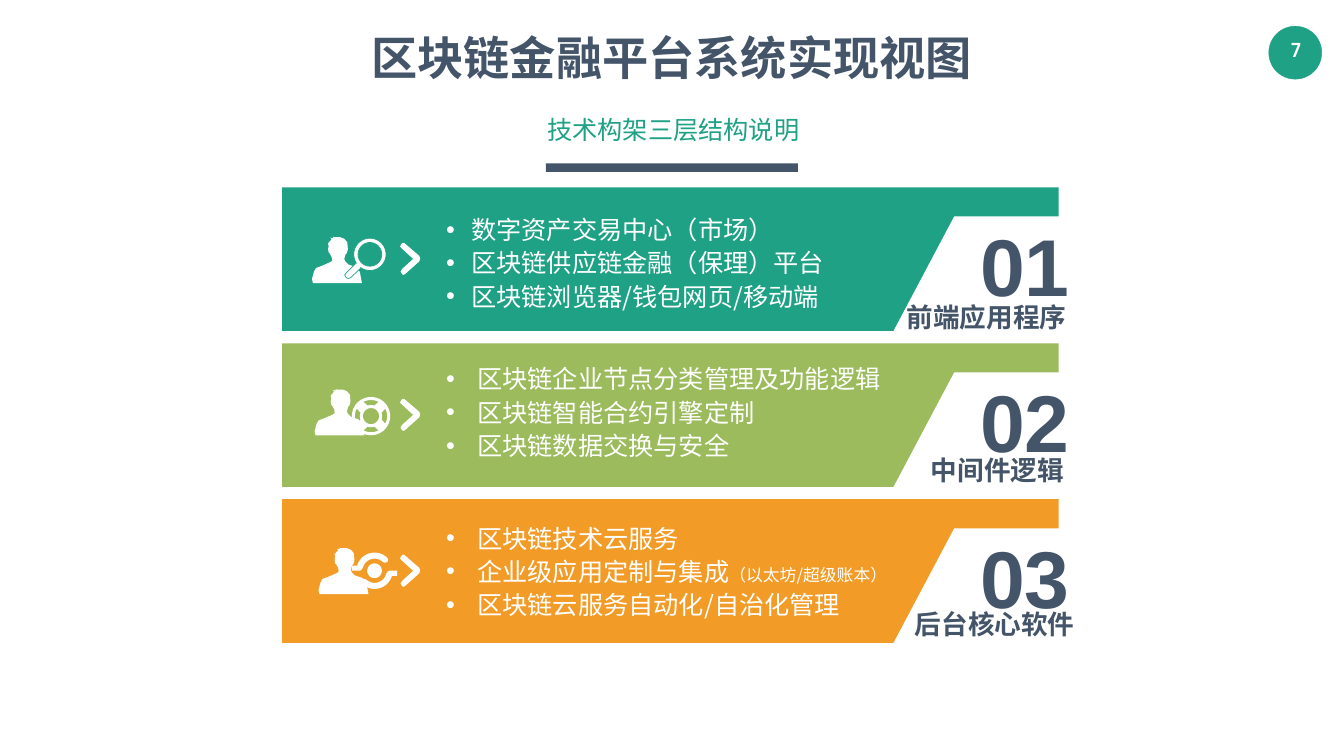
import math
from lxml import etree
from pptx import Presentation
from pptx.dml import color as dml
from pptx.enum import shapes, text
from pptx.oxml import ns
from pptx import util as u

SANS = "Noto Sans CJK SC"
NAVY, GREEN, WHITE = "445469", "1EA185", "FFFFFF"
UNIT = 2.54 / 100
LEFT, CENTER, RIGHT = text.PP_ALIGN.LEFT, text.PP_ALIGN.CENTER, text.PP_ALIGN.RIGHT

BODY = [
    (2, 92), (0, 84), (4, 69), (8, 62), (19, 58), (35, 51), (40, 48), (39, 40),
    (35, 33), (33, 31), (32, 25), (33, 19), (32, 13), (39, 5), (36, 2), (42, 3),
    (42, 0), (45, 1), (56, 1), (64, 4), (70, 11), (71, 22), (71, 26), (69, 33),
    (67, 34), (64, 44), (66, 49), (72, 55), (87, 60), (95, 70), (99, 92),
]
ARROW = [
    (4, 53), (26, 33), (4, 13), (0, 9), (2, 4), (5, 1), (9, 2), (38, 27),
    (40, 32), (38, 38), (10, 63), (6, 65), (3, 62), (1, 58),
]


def rgb(value):
    return dml.RGBColor.from_string(value)


def paint(shape, fill, line=None, width=1):
    shape.shadow.inherit = False
    shape.fill.solid()
    shape.fill.fore_color.rgb = rgb(fill)
    if line:
        shape.line.color.rgb = rgb(line)
        shape.line.width = u.Pt(width)
    else:
        shape.line.fill.background()


def block(slide, kind, box, fill, line=None, width=1):
    shape = slide.shapes.add_shape(kind, *map(u.Cm, box))
    paint(shape, fill, line, width)


def trace(slide, x, y, loops, fill, line=None, unit=UNIT):
    loops = [[(u.Cm(a * unit), u.Cm(b * unit)) for a, b in loop] for loop in loops]
    pen = slide.shapes.build_freeform(*loops[0][0], scale=1.0)
    for rank, loop in enumerate(loops):
        if rank:
            pen.move_to(*loop[0])
        pen.add_line_segments(loop[1:], close=True)
    paint(pen.convert_to_shape(u.Cm(x), u.Cm(y)), fill, line)


def arc(cx, cy, radius, start, end):
    steps = max(8, round(abs(end - start) / 6))
    turns = [math.radians(start + (end - start) * i / steps) for i in range(steps + 1)]
    return [(cx + radius * math.cos(t), cy + radius * math.sin(t)) for t in turns]


def write(slide, box, lines, size=36, color=WHITE, font=SANS, bold=False,
          align=LEFT, wrap=False, pad=(0.51, 0.25), space=None, bullet=None):
    frame = slide.shapes.add_textbox(*map(u.Cm, box)).text_frame
    frame.word_wrap = wrap
    frame.margin_left = frame.margin_right = u.Cm(pad[0])
    frame.margin_top = frame.margin_bottom = u.Cm(pad[1])
    for rank, line in enumerate(lines):
        para = frame.add_paragraph() if rank else frame.paragraphs[0]
        if bullet:
            props = para._p.get_or_add_pPr()
            props.set("marL", str(u.Cm(bullet)))
            props.set("indent", str(-u.Cm(bullet)))
            etree.SubElement(props, ns.qn("a:buFont")).set("typeface", "Arial")
            etree.SubElement(props, ns.qn("a:buChar")).set("char", "•")
        para.alignment = align
        if space:
            para.line_spacing = space
        for words, points in [(line, size)] if isinstance(line, str) else line:
            run = para.add_run()
            run.text = words
            run.font.size = u.Pt(points)
            run.font.bold = bold
            run.font.name = font
            run.font.color.rgb = rgb(color)
            east = etree.SubElement(run._r.get_or_add_rPr(), ns.qn("a:ea"))
            east.set("typeface", font)


def lens(slide, x, y):
    grip = [(21, 54), (3, 72), (0, 76), (3, 81), (7, 83), (12, 81), (30, 64)]
    rim = arc(50, 35, 32, 125, -213) + grip
    trace(slide, x, y, [rim, arc(50, 35, 23.5, 0, 360)], WHITE, GREEN)


def buoy(slide, x, y):
    cx, cy = 38, 37.5
    loops = [arc(cx, cy, 38, 0, 360), arc(cx, cy, 16, 0, 360)]
    for turn in range(0, 360, 90):
        loops.append(arc(cx, cy, 32, turn - 28, turn + 28)
                     + arc(cx, cy, 22, turn + 18, turn - 18))
    trace(slide, x, y, loops, WHITE)


def orbit(slide, x, y):
    cx, cy = 45, 36
    upper = (arc(cx, cy, 24, 192, 315) + [(67, 20), (71, 18), (72, 14)]
             + arc(cx, cy, 36, 315, 196) + [(0, 26), (0, 36), (14, 36), (18, 35)])
    lower = [(2 * cx - a, 2 * cy - b) for a, b in upper]
    trace(slide, x, y, [upper, lower, arc(cx, cy, 14.5, 0, 360)], WHITE)


def header(slide, x, y):
    write(slide, (x, y, 31.06, 3.68), ["区块链金融平台系统实现视图"], size=66,
          color=NAVY, bold=True, align=CENTER, pad=(0.25, 0.13))
    block(slide, shapes.MSO_SHAPE.RECTANGLE, (x + 9.2, y + 6.88, 12.7, 0.43), NAVY)
    write(slide, (x - 0.58, y + 3.81, 32.39, 2.79), ["技术构架三层结构说明"],
          color=GREEN, align=CENTER, wrap=True, pad=(0.61, 0.3), space=1.2)


def badge(slide, x, y):
    block(slide, shapes.MSO_SHAPE.OVAL, (x, y, 2.67, 2.67), GREEN, GREEN, 0.5)
    write(slide, (x + 0.15, y + 0.36, 2.46, 1.7), ["7"], size=28,
          font="Manrope", bold=True, align=CENTER)


def layer(slide, x, y, number, fill, lines, drop, hang, label, spot, man, icon, mark):
    block(slide, shapes.MSO_SHAPE.RECTANGLE, (x, y, 39.12, 7.24), fill)
    notch = [(8.97, 0), (3.38, 0), (0, 6.38), (8.97, 6.38)]
    trace(slide, x + 30.48, y + 1.47, [notch], WHITE, unit=1)
    trace(slide, x + man[0], y + man[1], [BODY], WHITE)
    icon(slide, x + mark[0], y + mark[1])
    trace(slide, x + 5.94, y + 2.77, [ARROW], WHITE)
    write(slide, (x + 7.65, y + drop, 24, 5.69), lines, wrap=True,
          pad=(0.61, 0.3), space=1.1, bullet=hang)
    write(slide, (x + 34.42, y + 1.19, 5.77, 5.44), [number], size=115,
          color=NAVY, font="Arial", bold=True, align=RIGHT)
    write(slide, (x + spot[0], y + spot[1], 1.32 * len(label) + 1.2, 2.13), [label],
          size=38, color=NAVY, bold=True)


LAYERS = [
    dict(number="01", fill=GREEN, drop=0.91, hang=1.27, label="前端应用程序",
         spot=(30.96, 5.49), man=(1.5, 2.49), icon=lens, mark=(3.15, 2.49),
         lines=["数字资产交易中心（市场）", "区块链供应链金融（保理）平台",
                "区块链浏览器/钱包网页/移动端"]),
    dict(number="02", fill="9BBB5C", drop=0.58, hang=1.57, label="中间件逻辑",
         spot=(32.18, 5.33), man=(1.63, 2.31), icon=buoy, mark=(3.51, 2.72),
         lines=["区块链企业节点分类管理及功能逻辑", "区块链智能合约引擎定制",
                "区块链数据交换与安全"]),
    dict(number="03", fill="F29B26", drop=0.74, hang=1.57, label="后台核心软件",
         spot=(31.37, 5.23), man=(1.83, 2.44), icon=orbit, mark=(3.51, 2.69),
         lines=["区块链技术云服务",
                [("企业级应用定制与集成", 36), ("（以太坊/超级账本）", 24)],
                "区块链云服务自动化/自治化管理"]),
]


def main():
    deck = Presentation()
    deck.slide_width, deck.slide_height = u.Cm(67.72), u.Cm(38.1)
    slide = deck.slides.add_slide(deck.slide_layouts[6])
    badge(slide, 63.93, 1.32)
    for rank, parts in enumerate(LAYERS):
        layer(slide, 14.22, 9.44 + 7.86 * rank, **parts)
    header(slide, 18.31, 1.35)
    deck.save("out.pptx")


if __name__ == "__main__":
    main()
